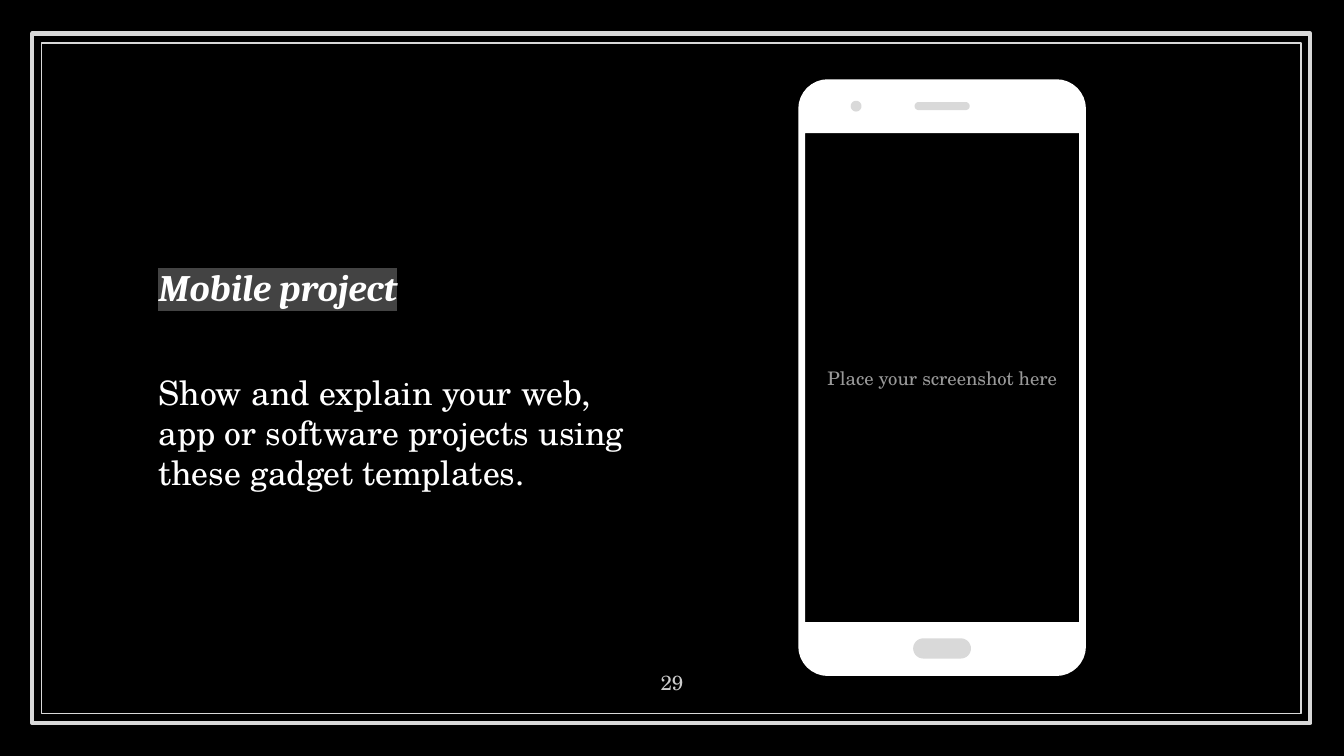
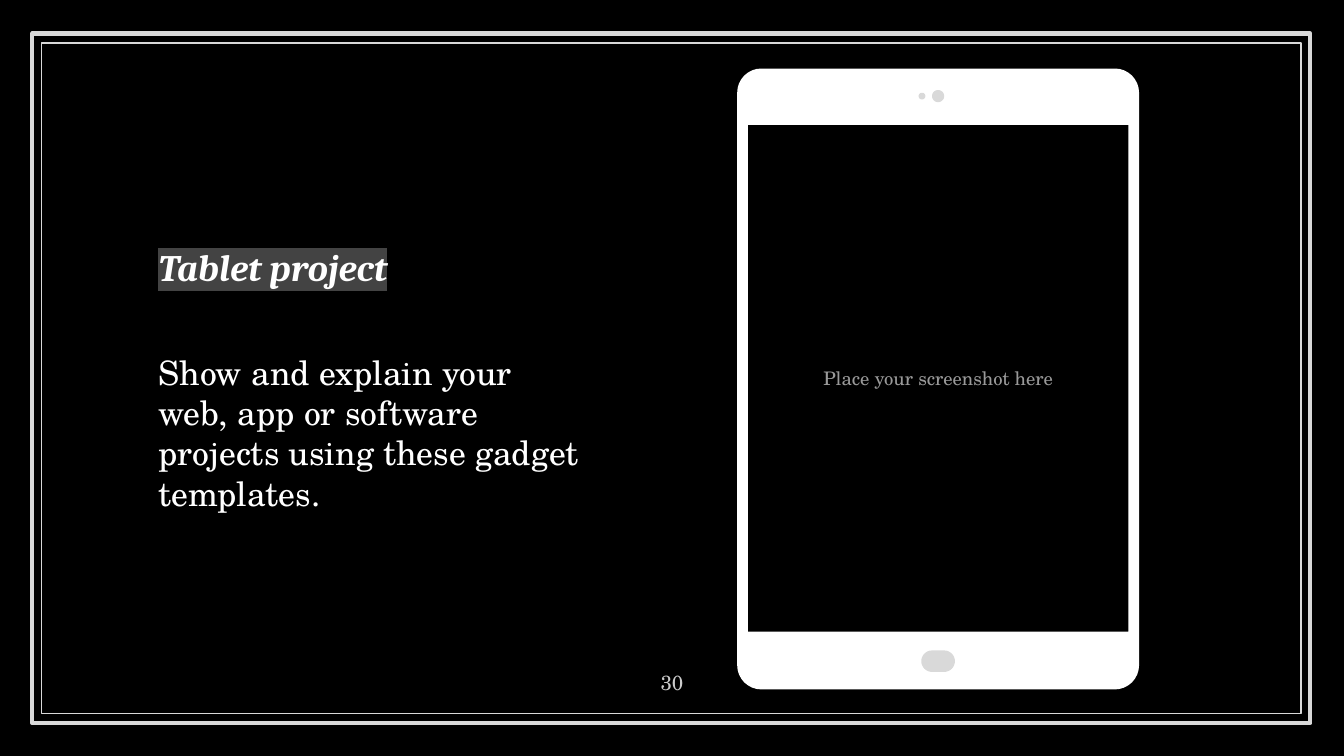
import math
from lxml import etree
from pptx import Presentation, util as u
from pptx.dml.color import RGBColor
from pptx.enum import shapes, text
from pptx.oxml.ns import qn

# Content
BODY = "Show and explain your web, app or software projects using these gadget templates."
HINT = "Place your screenshot here"
# Device parts: (offset of centre from the device axis, top, width, height)
SLIDES = [
    dict(title="Mobile project", number="29", text_w=3.91, axis=7.01, radius=0.22,
         case=(0, 0.59, 2.14, 4.44), screen=(0, 0.99, 2.04, 3.64),
         details=[(0, 4.75, 0.43, 0.15),        # home button
                  (-0.64, 0.75, 0.08, 0.08),    # camera
                  (0, 0.76, 0.41, 0.06)]),      # speaker
    dict(title="Tablet project", number="30", text_w=3.41, axis=6.98, radius=0.18,
         case=(0, 0.51, 2.99, 4.62), screen=(0, 0.93, 2.83, 3.77),
         details=[(0, 4.84, 0.25, 0.16),        # home button
                  (-0.12, 0.69, 0.05, 0.05),    # sensor
                  (0, 0.67, 0.09, 0.09)]),      # camera
]

# Shared style
COLORS = dict(back="000000", frame="D9D9D9", text="FFFFFF", mark="434343",
              number="CCCCCC", hint="999999", case="FFFFFF", detail="D9D9D9")
HEAD_FONT, BODY_FONT = "Cambria", "TeX Gyre Schola"
FRAMES = [((0.24, 0.25, 9.51, 5.13), 2.25), ((0.31, 0.32, 9.37, 4.99), 0.75)]
WIDTH = 10
HEIGHT = WIDTH * 9 / 16
NUMBER_W, NUMBER_H = 0.6, 0.43
CORNER_STEPS = 8


def rgb(name):
    return RGBColor.from_string(COLORS[name])


def inches(box):
    return [u.Inches(v) for v in box]


def add_text(tf, content, size, color, font=BODY_FONT, bold=False, italic=False,
             mark=None, align=text.PP_ALIGN.LEFT, before=0):
    """Write one paragraph, filling the empty first one if it is still free."""
    p = tf.paragraphs[0]
    if p.runs:
        p = tf.add_paragraph()
    p.alignment, p.space_before = align, u.Pt(before)
    r = p.add_run()
    r.text = content
    f = r.font
    f.size, f.bold, f.italic, f.name = u.Pt(size), bold, italic, font
    f.color.rgb = rgb(color)
    if mark:
        hl = etree.Element(qn("a:highlight"))
        etree.SubElement(hl, qn("a:srgbClr"), val=COLORS[mark])
        r._r.get_or_add_rPr().find(qn("a:solidFill")).addnext(hl)


def add_box(s, box, anchor=text.MSO_ANCHOR.MIDDLE):
    tf = s.shapes.add_textbox(*inches(box)).text_frame
    tf.word_wrap, tf.vertical_anchor = True, anchor
    tf.margin_left = tf.margin_right = tf.margin_top = tf.margin_bottom = u.Inches(0.1)
    return tf


def place(axis, part):
    dx, top, w, h = part
    return axis + dx - w / 2, top, w, h


def rounded(box, radius):
    """Clockwise outline of a rectangle with round corners."""
    x, y, w, h = box
    centres = [(x + w - radius, y + radius), (x + w - radius, y + h - radius),
               (x + radius, y + h - radius), (x + radius, y + radius)]
    points = []
    for i, (cx, cy) in enumerate(centres):
        for k in range(CORNER_STEPS + 1):
            a = math.pi / 2 * (i - 1 + k / CORNER_STEPS)
            points.append((cx + radius * math.cos(a), cy + radius * math.sin(a)))
    return points


def add_outline(group, color, *contours):
    contours = [[inches(pt) for pt in c] for c in contours]
    fb = group.shapes.build_freeform(*contours[0][0])
    fb.add_line_segments(contours[0][1:], close=True)
    for c in contours[1:]:
        fb.move_to(*c[0])
        fb.add_line_segments(c[1:], close=True)
    sp = fb.convert_to_shape()
    sp.shadow.inherit = False
    sp.fill.solid()
    sp.fill.fore_color.rgb = rgb(color)
    sp.line.fill.background()


def add_device(s, item):
    axis = item["axis"]
    group = s.shapes.add_group_shape()
    x, y, w, h = place(axis, item["screen"])
    # The screen runs counter-clockwise, so it is cut out of the case
    screen = [(x, y), (x, y + h), (x + w, y + h), (x + w, y)]
    add_outline(group, "case", rounded(place(axis, item["case"]), item["radius"]), screen)
    for part in item["details"]:
        add_outline(group, "detail", rounded(place(axis, part), min(part[2:]) / 2))


def add_frames(s):
    s.background.fill.solid()
    s.background.fill.fore_color.rgb = rgb("back")
    for box, weight in FRAMES:
        sp = s.shapes.add_shape(shapes.MSO_SHAPE.RECTANGLE, *inches(box))
        sp.shadow.inherit = False
        sp.fill.background()
        sp.line.color.rgb = rgb("frame")
        sp.line.width = u.Pt(weight)


def main():
    prs = Presentation()
    prs.slide_width, prs.slide_height = u.Inches(WIDTH), u.Inches(HEIGHT)
    for item in SLIDES:
        s = prs.slides.add_slide(prs.slide_layouts[6])
        add_frames(s)

        # Title and explanation
        tf = add_box(s, (1.08, 0.89, item["text_w"], 3.85))
        add_text(tf, item["title"], 20, "text", font=HEAD_FONT, bold=True,
                 italic=True, mark="mark", before=6)
        add_text(tf, BODY, 18, "text", before=33.6)

        # Slide number
        tf = add_box(s, ((WIDTH - NUMBER_W) / 2, 4.83, NUMBER_W, NUMBER_H),
                     text.MSO_ANCHOR.BOTTOM)
        add_text(tf, item["number"], 11, "number", align=text.PP_ALIGN.CENTER)

        # Screen hint and device
        tf = add_box(s, place(item["axis"], item["screen"]))
        add_text(tf, HINT, 10, "hint", align=text.PP_ALIGN.CENTER)
        add_device(s, item)
    prs.save("out.pptx")


if __name__ == "__main__":
    main()
